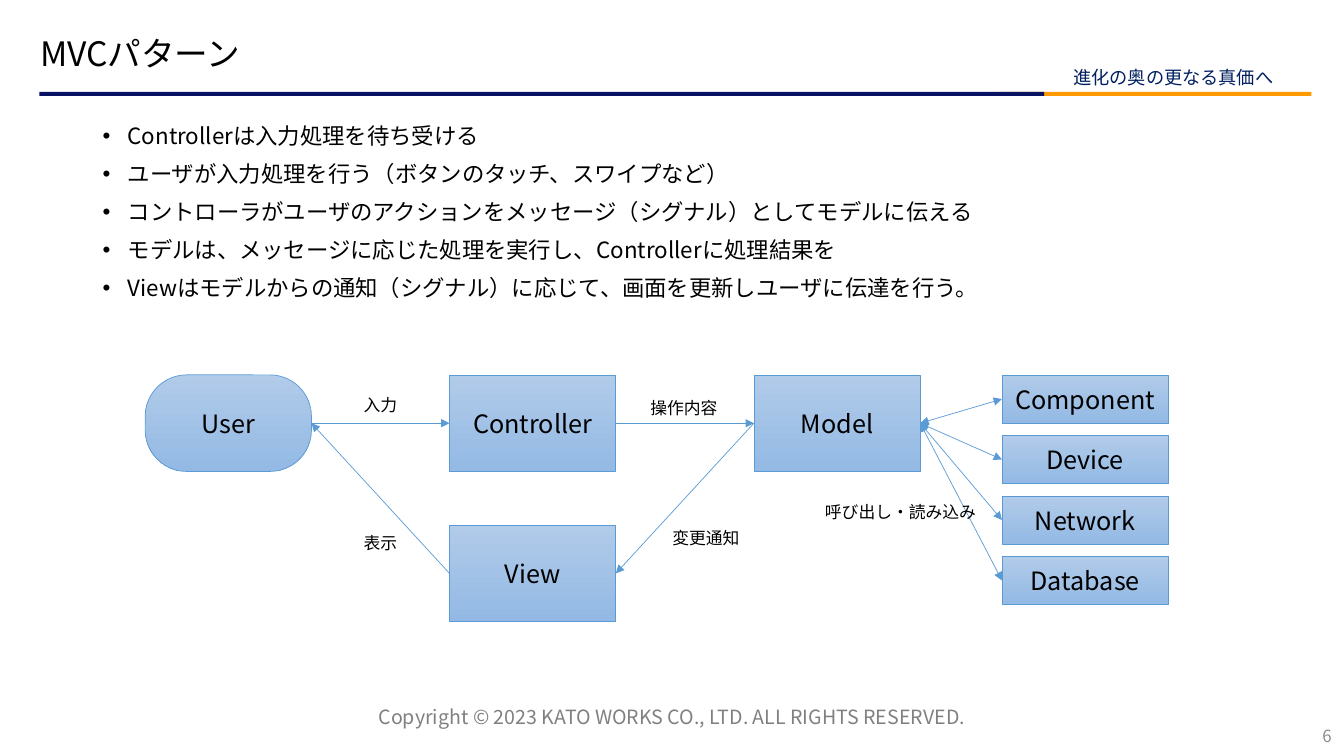
from dataclasses import dataclass

from lxml.etree import SubElement
from pptx import Presentation
from pptx.dml.color import RGBColor
from pptx.enum.shapes import MSO_CONNECTOR as Connector, MSO_SHAPE as Shape
from pptx.enum.text import MSO_ANCHOR as Anchor, PP_ALIGN as Align
from pptx.oxml.ns import qn
from pptx.util import Pt


@dataclass(frozen=True)
class Theme:
    font: str = "Noto Sans CJK JP"
    black: str = "000000"
    navy: str = "0A1263"
    orange: str = "FF9900"
    tagline: str = "002060"
    footer: str = "808080"
    number: str = "8C8C8C"
    line: str = "5B9BD5"
    box_top: str = "B1CBE9"
    box_bottom: str = "93B9E4"
    title_size: float = 24
    box_size: float = 18
    body_size: float = 16
    footer_size: float = 14
    tagline_size: float = 13
    label_size: float = 12


THEME = Theme()
LEFT, RIGHT = 1, 3
BOX_W, BOX_H, SMALL_H = 118.8, 69, 34.5
COLUMN_X, COLUMN_STEP = 103.7, 217.4
TOP_Y, VIEW_Y = 267.8, 375.1
PART_X, PART_STEP = 715.7, 43.2

BULLETS = [
    "Controllerは入力処理を待ち受ける",
    "ユーザが入力処理を行う（ボタンのタッチ、スワイプなど）",
    "コントローラがユーザのアクションをメッセージ（シグナル）としてモデルに伝える",
    "モデルは、メッセージに応じた処理を実行し、Controllerに処理結果を",
    "Viewはモデルからの通知（シグナル）に応じて、画面を更新しユーザに伝達を行う。",
]
PARTS = ["Component", "Device", "Network", "Database"]
LABELS = [
    ("入力", 236.9, 278.6, 69.8),
    ("表示", 236.9, 377.3, 69.8),
    ("変更通知", 469.4, 373.7, 69.8),
    ("操作内容", 453.6, 280.8, 69.8),
    ("呼び出し・読み込み", 576, 355, 134.6),
]


def rgb(value):
    return RGBColor.from_string(value)


def set_attrs(target, values):
    for name, value in values.items():
        setattr(target, name, value)


def write(p, text, size, color=THEME.black, **paragraph_format):
    set_attrs(p, paragraph_format)
    r = p.add_run()
    r.text = text
    set_attrs(r.font, {"name": THEME.font, "size": Pt(size)})
    r.font.color.rgb = rgb(color)
    SubElement(r.font._element, qn("a:ea"), typeface=THEME.font)


def add_text_box(s, area, anchor=Anchor.TOP):
    tf = s.shapes.add_textbox(*map(Pt, area)).text_frame
    set_attrs(tf, {"word_wrap": True, "vertical_anchor": anchor})
    return tf


def add_text(s, text, area, size, color=THEME.black, anchor=Anchor.TOP, **paragraph_format):
    tf = add_text_box(s, area, anchor)
    write(tf.paragraphs[0], text, size, color, **paragraph_format)


def add_bullets(s, items, area):
    tf = add_text_box(s, area)
    for i, item in enumerate(items):
        p = tf.add_paragraph() if i else tf.paragraphs[0]
        pPr = p._p.get_or_add_pPr()
        set_attrs(p, {"line_spacing": 0.9, "space_before": Pt(10 if i else 0)})
        pPr.set("marL", str(Pt(18)))
        pPr.set("indent", str(Pt(-18)))
        SubElement(pPr, qn("a:buFont"), typeface="Arial")
        SubElement(pPr, qn("a:buChar"), char="•")
        write(p, item, THEME.body_size)


def add_rule(s, area, color):
    sp = s.shapes.add_shape(Shape.RECTANGLE, *map(Pt, area))
    sp.shadow.inherit = False
    sp.fill.solid()
    sp.fill.fore_color.rgb = rgb(color)
    sp.line.fill.background()


def add_box(s, text, x, y, height=BOX_H, kind=Shape.RECTANGLE):
    sp = s.shapes.add_shape(kind, Pt(x), Pt(y), Pt(BOX_W), Pt(height))
    sp.shadow.inherit = False
    sp.fill.gradient()
    sp.fill.gradient_angle = 270
    for stop, color in zip(sp.fill.gradient_stops, (THEME.box_top, THEME.box_bottom)):
        stop.color.rgb = rgb(color)
    sp.line.color.rgb = rgb(THEME.line)
    sp.line.width = Pt(0.5)
    tf = sp.text_frame
    set_attrs(tf, {"margin_left": 0, "margin_right": 0, "vertical_anchor": Anchor.MIDDLE})
    write(tf.paragraphs[0], text, THEME.box_size, alignment=Align.CENTER)
    return sp


def add_arrow(s, start, start_side, end, end_side, both_ends=False):
    c = s.shapes.add_connector(Connector.STRAIGHT, 0, 0, 0, 0)
    c.begin_connect(start, start_side)
    c.end_connect(end, end_side)
    c.line.color.rgb = rgb(THEME.line)
    c.line.width = Pt(0.5)
    ln = c.line._get_or_add_ln()
    for tag in ("a:headEnd", "a:tailEnd") if both_ends else ("a:tailEnd",):
        SubElement(ln, qn(tag), type="triangle")
    SubElement(c._element.spPr, qn("a:effectLst"))


def add_frame(s):
    """Title, rules, tagline, footer and page number."""
    add_rule(s, (713.5, 65.6, 223.2, 2.9), THEME.orange)
    add_rule(s, (28.1, 65.6, 717.8, 2.9), THEME.navy)
    add_text(s, "進化の奥の更なる真価へ", (733, 43.9, 210.2, 23),
             THEME.tagline_size, THEME.tagline, alignment=Align.CENTER)
    add_text(s, "Copyright © 2023 KATO WORKS CO., LTD. ALL RIGHTS RESERVED.",
             (66.2, 499.7, 828, 28.8), THEME.footer_size, THEME.footer, alignment=Align.CENTER)
    add_text(s, "6", (742.3, 511.2, 216, 28.8), THEME.label_size, THEME.number,
             Anchor.MIDDLE, alignment=Align.RIGHT)
    add_text(s, "MVCパターン", (21.6, 10.1, 709.9, 59), THEME.title_size,
             anchor=Anchor.MIDDLE, line_spacing=0.9)


def add_diagram(s):
    user_x, middle_x, model_x = (COLUMN_X + i * COLUMN_STEP for i in range(3))
    model = add_box(s, "Model", model_x, TOP_Y)
    view = add_box(s, "View", middle_x, VIEW_Y)
    controller = add_box(s, "Controller", middle_x, TOP_Y)
    user = add_box(s, "User", user_x, TOP_Y, kind=Shape.ROUNDED_RECTANGLE)
    user.adjustments[0] = 0.43

    add_arrow(s, user, RIGHT, controller, LEFT)
    add_arrow(s, controller, RIGHT, model, LEFT)
    add_arrow(s, model, LEFT, view, RIGHT)
    add_arrow(s, view, LEFT, user, RIGHT)
    for i, name in enumerate(PARTS):
        part = add_box(s, name, PART_X, TOP_Y + i * PART_STEP, SMALL_H)
        add_arrow(s, model, RIGHT, part, LEFT, both_ends=True)
    for text, x, y, width in LABELS:
        add_text(s, text, (x, y, width, 21.6), THEME.label_size, alignment=Align.CENTER)


def main():
    prs = Presentation()
    set_attrs(prs, {"slide_width": Pt(960), "slide_height": Pt(540)})
    s = prs.slides.add_slide(prs.slide_layouts[6])
    add_frame(s)
    add_bullets(s, BULLETS, (66.2, 85.7, 828, 134.6))
    add_diagram(s)
    prs.save("out.pptx")


if __name__ == "__main__":
    main()
